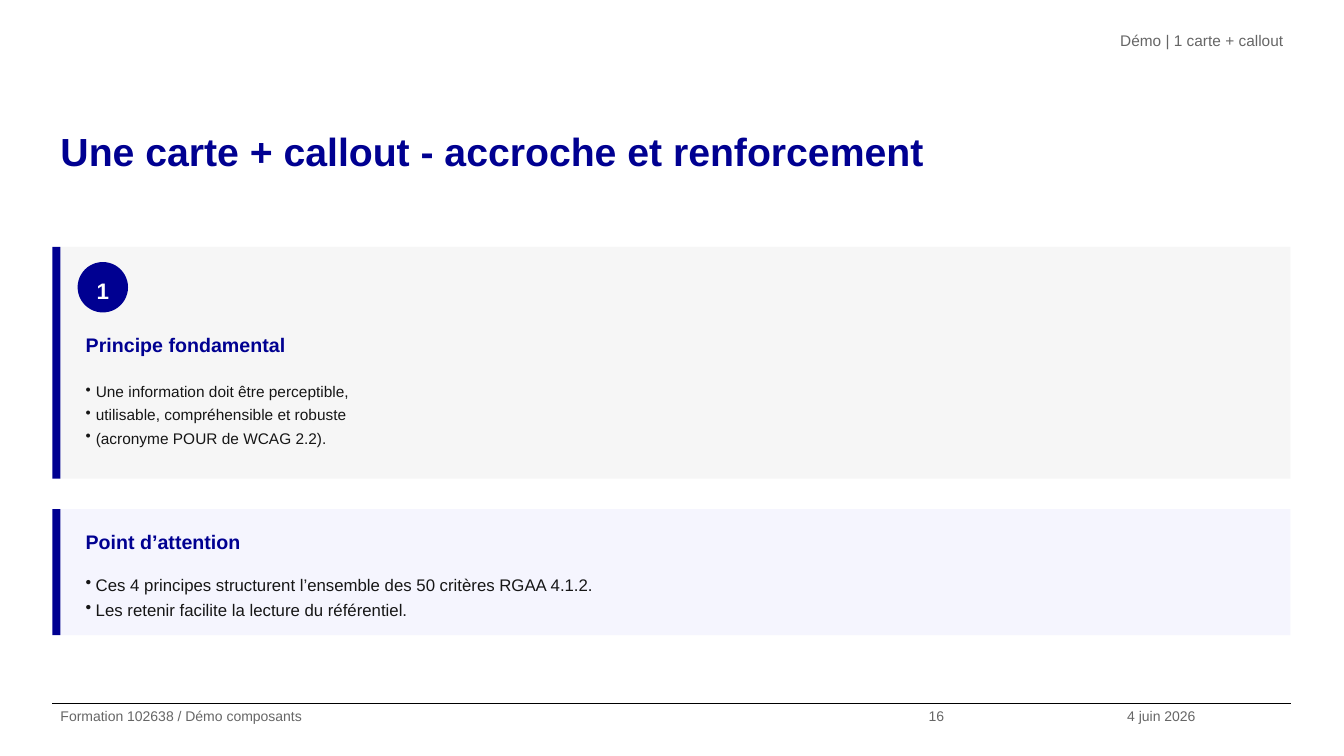
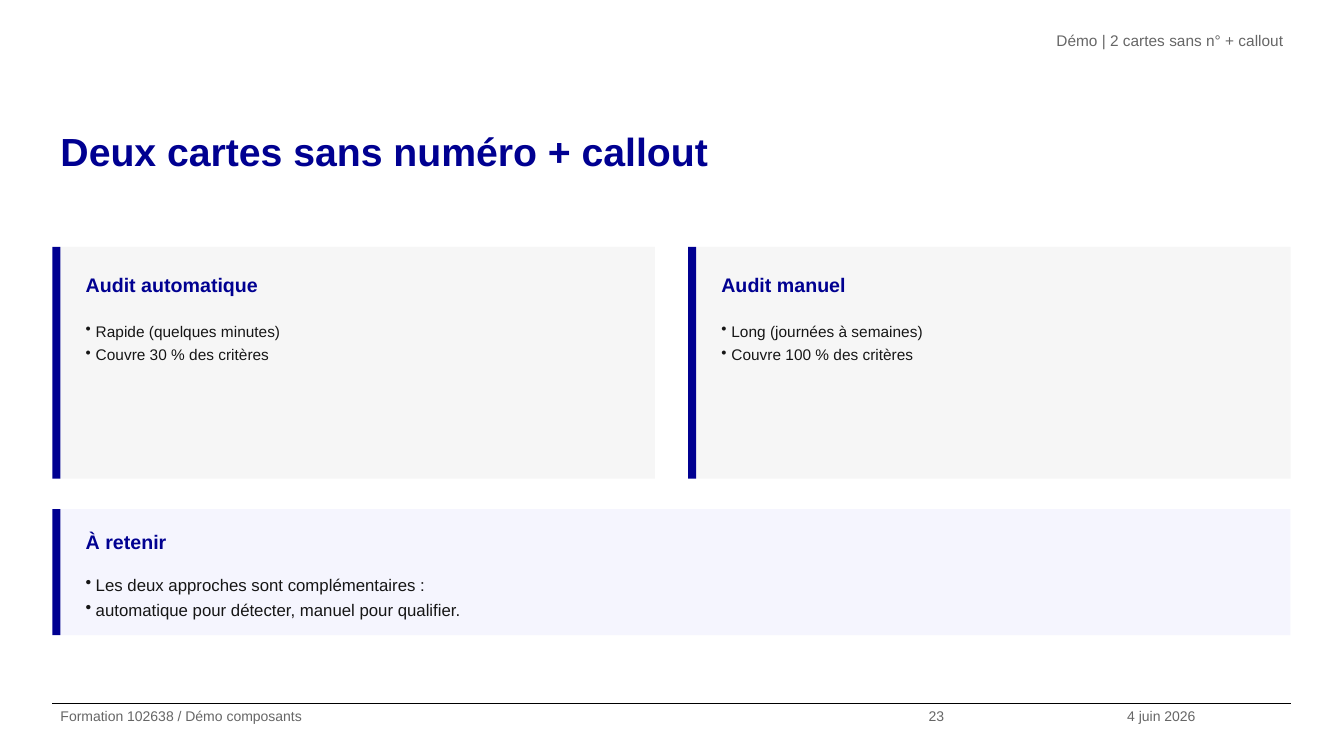
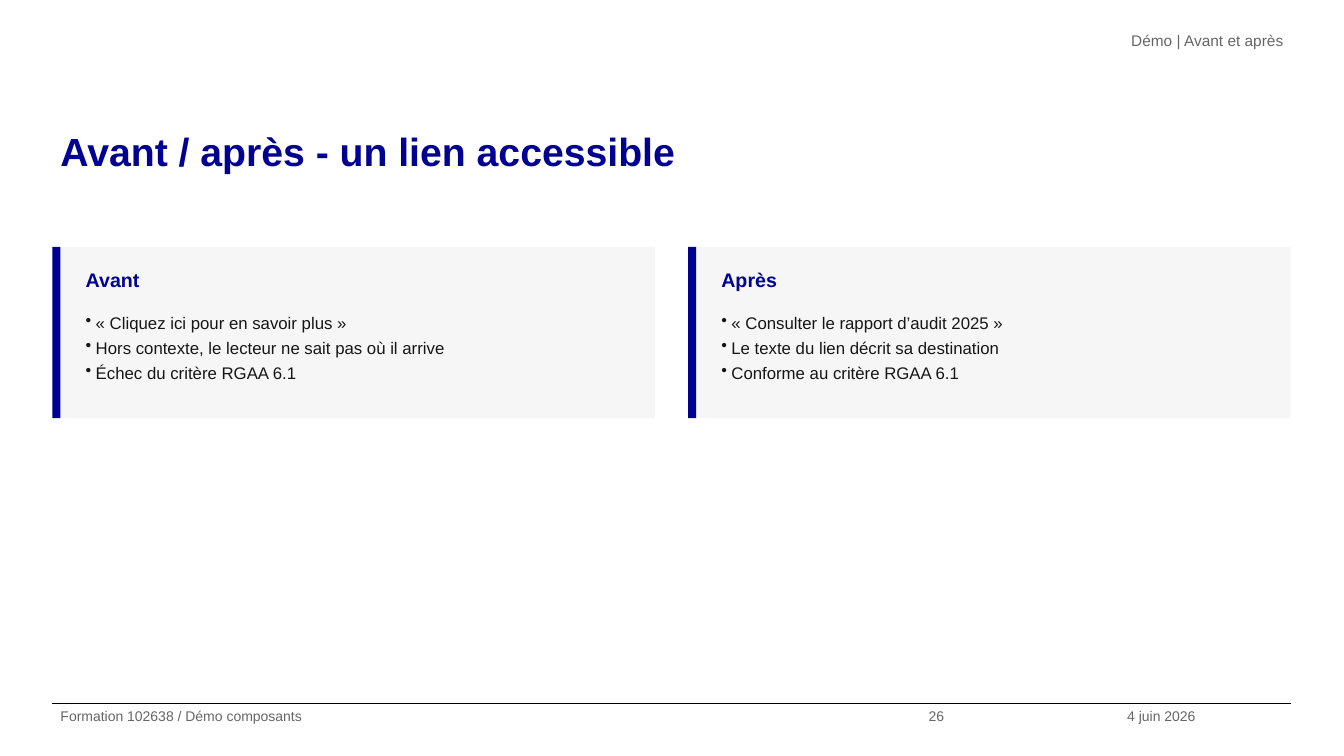
from dataclasses import dataclass

from lxml import etree
from pptx import Presentation
from pptx.dml.color import RGBColor
from pptx.enum.shapes import MSO_CONNECTOR, MSO_SHAPE
from pptx.enum.text import MSO_ANCHOR, PP_ALIGN
from pptx.oxml.ns import qn
from pptx.util import Inches, Pt

RECT, OVAL = MSO_SHAPE.RECTANGLE, MSO_SHAPE.OVAL
STRAIGHT = MSO_CONNECTOR.STRAIGHT
TOP, MIDDLE = MSO_ANCHOR.TOP, MSO_ANCHOR.MIDDLE
LEFT, CENTER, RIGHT = PP_ALIGN.LEFT, PP_ALIGN.CENTER, PP_ALIGN.RIGHT


@dataclass(frozen=True)
class Theme:
    font: str = "Arial"
    blue: str = "000091"
    ink: str = "161616"
    grey: str = "666666"
    white: str = "FFFFFF"
    rule: str = "000000"
    card: str = "F6F6F6"
    callout: str = "F5F5FE"
    title_size: int = 28
    number_size: int = 16
    heading_size: int = 14
    body_size: int = 12
    card_size: int = 11
    header_size: int = 11
    footer_size: int = 10
    line_spacing: float = 1.25


@dataclass(frozen=True)
class PanelStyle:
    fill: str
    size: int
    pad: float
    heading_h: float


@dataclass(frozen=True)
class Panel:
    heading: str
    points: tuple[str, ...]
    number: str = ""


@dataclass(frozen=True)
class SlideData:
    header: str
    title: str
    page: str
    panels: tuple[Panel, ...]
    style: PanelStyle
    panel_h: float
    callout: Panel | None = None


T = Theme()
CARD = PanelStyle(T.card, T.card_size, 0.15, 0.45)
COMPARE = PanelStyle(T.card, T.body_size, 0.1, 0.4)
CALLOUT = PanelStyle(T.callout, T.body_size, 0.1, 0.4)

# Page grid, in inches
MARGIN, CONTENT_W = 0.52, 12.28
COLUMN_GAP, BAR_W, INDENT = 0.33, 0.08, 0.17
PANEL_Y, CALLOUT_Y, CALLOUT_H = 2.45, 5.05, 1.25
BADGE, BADGE_STEP, HEADING_GAP = 0.5, 0.6, 0.05
FOOTER_Y, FOOTER_H = 6.98, 0.52
BULLET_INDENT = 0.1

FOOTER_TEXT, DATE = "Formation 102638 / Démo composants", "4 juin 2026"

SLIDES = (
    SlideData(
        "Démo | 1 carte + callout", "Une carte + callout - accroche et renforcement", "16",
        (Panel("Principe fondamental",
               ("Une information doit être perceptible,",
                "utilisable, compréhensible et robuste",
                "(acronyme POUR de WCAG 2.2)."), "1"),),
        CARD, 2.3,
        Panel("Point d’attention",
              ("Ces 4 principes structurent l’ensemble des 50 critères RGAA 4.1.2.",
               "Les retenir facilite la lecture du référentiel.")),
    ),
    SlideData(
        "Démo | 2 cartes sans n° + callout", "Deux cartes sans numéro + callout", "23",
        (Panel("Audit automatique",
               ("Rapide (quelques minutes)", "Couvre 30 % des critères")),
         Panel("Audit manuel",
               ("Long (journées à semaines)", "Couvre 100 % des critères"))),
        CARD, 2.3,
        Panel("À retenir",
              ("Les deux approches sont complémentaires :",
               "automatique pour détecter, manuel pour qualifier.")),
    ),
    SlideData(
        "Démo | Avant et après", "Avant / après - un lien accessible", "26",
        (Panel("Avant",
               ("« Cliquez ici pour en savoir plus »",
                "Hors contexte, le lecteur ne sait pas où il arrive",
                "Échec du critère RGAA 6.1")),
         Panel("Après",
               ("« Consulter le rapport d’audit 2025 »",
                "Le texte du lien décrit sa destination",
                "Conforme au critère RGAA 6.1"))),
        COMPARE, 1.7,
    ),
)


def add_bullet(p) -> None:
    pPr = p._p.get_or_add_pPr()
    pPr.set("marL", str(Inches(BULLET_INDENT)))
    pPr.set("indent", str(-Inches(BULLET_INDENT)))
    etree.SubElement(pPr, qn("a:buChar")).set("char", "•")


def write(sp, lines: tuple[str, ...], size: int, color: str, bold: bool = False,
          align=LEFT, anchor=TOP, inset: float = 0.05, bullets: bool = False) -> None:
    tf = sp.text_frame
    frame = {"word_wrap": True, "vertical_anchor": anchor,
             "margin_left": Inches(0.08), "margin_right": Inches(0.08),
             "margin_top": Inches(inset), "margin_bottom": Inches(inset)}
    for name, value in frame.items():
        setattr(tf, name, value)
    font = {"name": T.font, "size": Pt(size), "bold": bold}
    for i, line in enumerate(lines):
        p = tf.paragraphs[0] if i == 0 else tf.add_paragraph()
        p.alignment, p.line_spacing = align, T.line_spacing
        if bullets:
            add_bullet(p)
        r = p.add_run()
        r.text = line
        for name, value in font.items():
            setattr(r.font, name, value)
        r.font.color.rgb = RGBColor.from_string(color)


def add_text(s, x: float, y: float, w: float, h: float, *lines: str, **fmt) -> None:
    sp = s.shapes.add_textbox(Inches(x), Inches(y), Inches(w), Inches(h))
    write(sp, lines, **fmt)


def add_block(s, kind, x: float, y: float, w: float, h: float, fill: str):
    sp = s.shapes.add_shape(kind, Inches(x), Inches(y), Inches(w), Inches(h))
    sp.shadow.inherit = False
    sp.fill.solid()
    sp.fill.fore_color.rgb = RGBColor.from_string(fill)
    sp.line.fill.background()
    return sp


def draw_frame(s, data: SlideData) -> None:
    # Footer rule
    y = Inches(FOOTER_Y)
    rule = s.shapes.add_connector(STRAIGHT, Inches(MARGIN), y, Inches(MARGIN + CONTENT_W), y)
    rule.line.color.rgb = RGBColor.from_string(T.rule)
    rule.line.width = Pt(0.8)
    etree.SubElement(rule._element.spPr, qn("a:effectLst"))

    # Title and running header
    add_text(s, MARGIN, 1.15, CONTENT_W, 1.05, data.title,
             size=T.title_size, color=T.blue, bold=True, inset=0)
    add_text(s, 4.83, 0.26, 7.98, 0.52, data.header,
             size=T.header_size, color=T.grey, align=RIGHT, inset=0)

    # Footer texts
    for x, w, text in ((MARGIN, 8.61, FOOTER_TEXT), (9.13, 1.97, data.page), (11.1, 1.71, DATE)):
        add_text(s, x, FOOTER_Y, w, FOOTER_H, text,
                 size=T.footer_size, color=T.grey, inset=0)


def draw_panel(s, panel: Panel, style: PanelStyle,
               x: float, y: float, w: float, h: float) -> None:
    # Background and accent bar
    add_block(s, RECT, x + BAR_W, y, w - BAR_W, h, style.fill)
    add_block(s, RECT, x, y, BAR_W, h, T.blue)

    # Optional number badge
    text_x, text_y = x + BAR_W + INDENT, y + style.pad
    text_w = w - BAR_W - INDENT - style.pad
    if panel.number:
        badge = add_block(s, OVAL, text_x, text_y, BADGE, BADGE, T.blue)
        write(badge, (panel.number,), T.number_size, T.white, True, CENTER, MIDDLE)
        text_y += BADGE_STEP

    # Heading and bullet points
    add_text(s, text_x, text_y, text_w, style.heading_h, panel.heading,
             size=T.heading_size, color=T.blue, bold=True)
    body_y = text_y + style.heading_h + HEADING_GAP
    add_text(s, text_x, body_y, text_w, y + h - style.pad - body_y, *panel.points,
             size=style.size, color=T.ink, bullets=True)


def draw_slide(prs, data: SlideData) -> None:
    s = prs.slides.add_slide(prs.slide_layouts[6])
    draw_frame(s, data)
    count = len(data.panels)
    w = (CONTENT_W - COLUMN_GAP * (count - 1)) / count
    for i, panel in enumerate(data.panels):
        draw_panel(s, panel, data.style, MARGIN + i * (w + COLUMN_GAP), PANEL_Y, w, data.panel_h)
    if data.callout:
        draw_panel(s, data.callout, CALLOUT, MARGIN, CALLOUT_Y, CONTENT_W, CALLOUT_H)


def main() -> None:
    prs = Presentation()
    prs.slide_width, prs.slide_height = Inches(13.33), Inches(7.5)
    for data in SLIDES:
        draw_slide(prs, data)
    prs.save("out.pptx")


if __name__ == "__main__":
    main()
